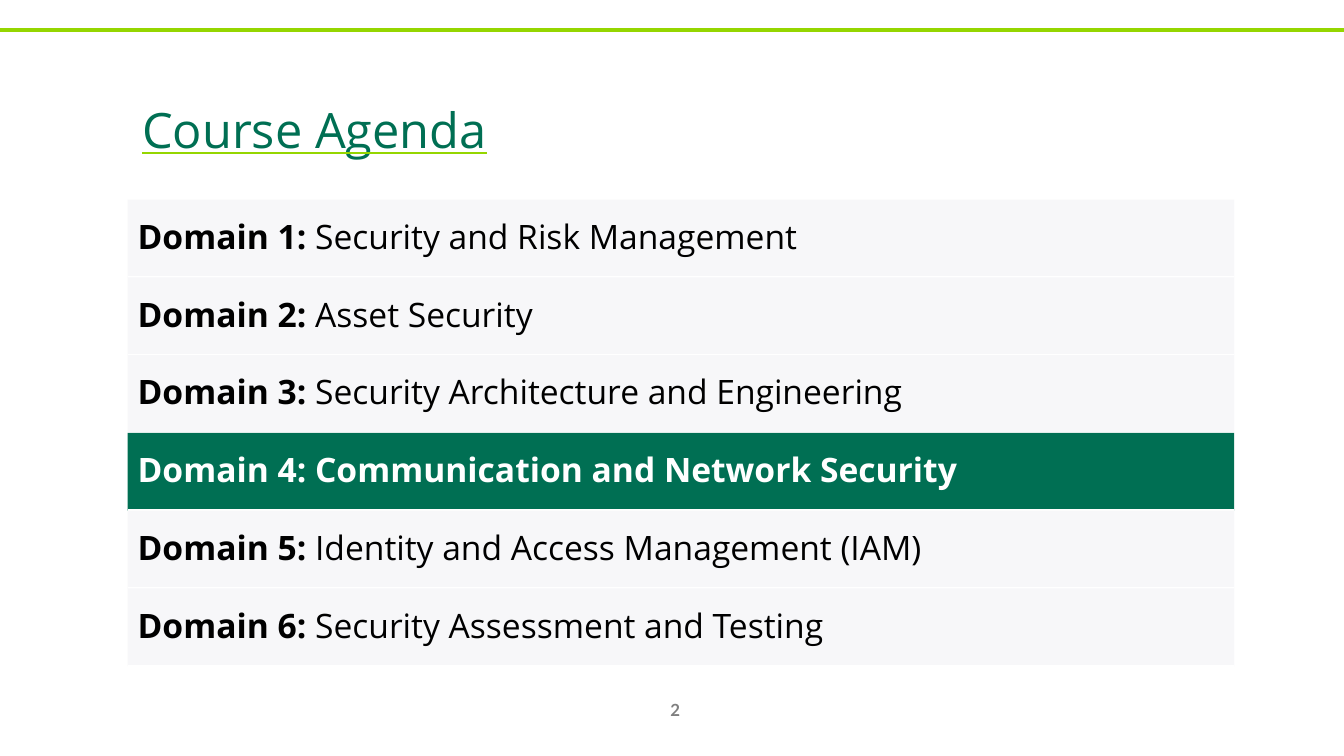
from dataclasses import dataclass

import pptx
import pptx.dml.color
import pptx.enum.shapes
import pptx.enum.text
import pptx.oxml
import pptx.oxml.ns
import pptx.util
from pptx.util import Cm, Pt

COLORS = {
    "lime": "95D600",
    "green": "006F53",
    "row": "F7F7F9",
    "white": "FFFFFF",
    "black": "000000",
    "grey": "808080",
}
ROW_LEFT, ROW_TOP, ROW_WIDTH, ROW_HEIGHT = 3.22, 5.03, 27.88, 1.96


@dataclass
class Domain:
    label: str
    name: str
    current: bool = False


DOMAINS = [
    Domain("Domain 1: ", "Security and Risk Management"),
    Domain("Domain 2: ", "Asset Security"),
    Domain("Domain 3: ", "Security Architecture and Engineering"),
    Domain("Domain 4: ", "Communication and Network Security", current=True),
    Domain("Domain 5: ", "Identity and Access Management (IAM)"),
    Domain("Domain 6: ", "Security Assessment and Testing"),
]


def rgb(name: str) -> pptx.dml.color.RGBColor:
    return pptx.dml.color.RGBColor.from_string(COLORS[name])


def style_run(r, font: str, size: float, color: str, bold: bool = False) -> None:
    r.font.name = font
    r.font.size = Pt(size)
    r.font.bold = bold
    r.font.color.rgb = rgb(color)


def add_rule(s, left: float, right: float, y: float, color: str, width: float) -> None:
    """Draw a horizontal line without a shadow."""
    line = s.shapes.add_connector(
        pptx.enum.shapes.MSO_CONNECTOR.STRAIGHT, Cm(left), Cm(y), Cm(right), Cm(y))
    line.line.color.rgb = rgb(color)
    line.line.width = Pt(width)
    pptx.oxml.ns.qn("a:effectLst")
    line._element.spPr.append(pptx.oxml.parse_xml(
        f"<a:effectLst {pptx.oxml.ns.nsdecls('a')}/>"))


def add_text(s, left: float, top: float, width: float, height: float, text: str):
    """Add a vertically centred text box and return its paragraph."""
    tf = s.shapes.add_textbox(Cm(left), Cm(top), Cm(width), Cm(height)).text_frame
    tf.word_wrap = True
    tf.vertical_anchor = pptx.enum.text.MSO_ANCHOR.MIDDLE
    tf.text = text
    return tf.paragraphs[0]


def add_title(s, text: str) -> None:
    """Add the raised title with its lime underline."""
    r = add_text(s, 3.33, 1.55, 27.79, 3.18, text).runs[0]
    style_run(r, "Open Sans", 60, "green")
    r.font.underline = True
    rPr = r._r.get_or_add_rPr()
    rPr.set("baseline", "12000")
    underline_fill = pptx.oxml.parse_xml(
        f"<a:uFill {pptx.oxml.ns.nsdecls('a')}><a:solidFill>"
        f"<a:srgbClr val=\"{COLORS['lime']}\"/></a:solidFill></a:uFill>")
    rPr.find(pptx.oxml.ns.qn("a:solidFill")).addnext(underline_fill)


def add_domain(s, domain: Domain, top: float) -> None:
    sp = s.shapes.add_shape(
        pptx.enum.shapes.MSO_SHAPE.RECTANGLE,
        Cm(ROW_LEFT), Cm(top), Cm(ROW_WIDTH), Cm(ROW_HEIGHT))
    sp.shadow.inherit = False
    sp.fill.solid()
    sp.fill.fore_color.rgb = rgb("green" if domain.current else "row")
    sp.line.fill.background()
    tf = sp.text_frame
    tf.word_wrap = True
    tf.vertical_anchor = pptx.enum.text.MSO_ANCHOR.MIDDLE
    tf.margin_left = tf.margin_right = tf.margin_top = tf.margin_bottom = Cm(0.25)
    p = tf.paragraphs[0]
    p.alignment = pptx.enum.text.PP_ALIGN.LEFT
    p.line_spacing = 0.9
    for text, bold in ((domain.label, True), (domain.name, domain.current)):
        r = p.add_run()
        r.text = text
        style_run(r, "Open Sans", 24, "white" if domain.current else "black", bold)


def add_agenda(s) -> None:
    right = ROW_LEFT + ROW_WIDTH
    for i, domain in enumerate(DOMAINS):
        top = ROW_TOP + i * ROW_HEIGHT
        add_rule(s, ROW_LEFT, right, top, "white", 2)
        add_domain(s, domain, top)
    add_rule(s, ROW_LEFT, right, ROW_TOP + len(DOMAINS) * ROW_HEIGHT, "white", 2)


def main() -> None:
    prs = pptx.Presentation()
    prs.slide_width, prs.slide_height = Cm(33.87), Cm(19.05)
    s = prs.slides.add_slide(prs.slide_layouts[6])
    add_rule(s, 0, 33.87, 0.76, "lime", 3)
    p = add_text(s, 16.23, 17.37, 1.57, 1.02, "2")
    p.alignment = pptx.enum.text.PP_ALIGN.CENTER
    style_run(p.runs[0], "Lato", 12, "grey", bold=True)
    add_title(s, "Course Agenda")
    add_agenda(s)
    prs.save("out.pptx")


if __name__ == "__main__":
    main()
